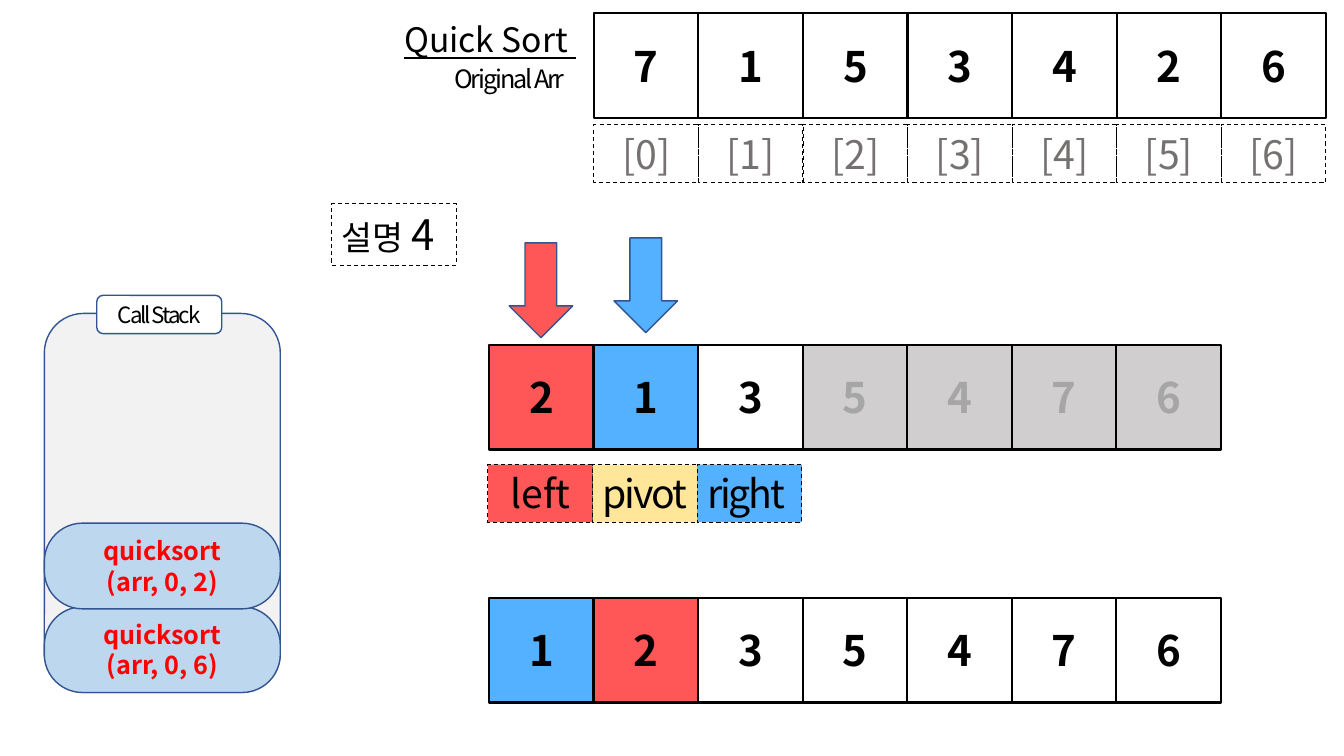
from lxml import etree
from pptx import Presentation
from pptx.dml.color import RGBColor
from pptx.enum.dml import MSO_LINE
from pptx.enum.shapes import MSO_SHAPE
from pptx.enum.text import MSO_ANCHOR, PP_ALIGN
from pptx.oxml.ns import qn
from pptx.util import Inches, Pt

RECT, ROUNDED, DOWN_ARROW = MSO_SHAPE.RECTANGLE, MSO_SHAPE.ROUNDED_RECTANGLE, MSO_SHAPE.DOWN_ARROW
DASH = MSO_LINE.DASH
LEFT, CENTER, RIGHT = PP_ALIGN.LEFT, PP_ALIGN.CENTER, PP_ALIGN.RIGHT
TOP, MIDDLE = MSO_ANCHOR.TOP, MSO_ANCHOR.MIDDLE

FONT = "Noto Sans CJK KR"
BLACK, WHITE, NAVY = "000000", "FFFFFF", "325491"
RED, BLUE, YELLOW = "FF5757", "53B1FF", "FFE699"
DONE_FILL, DONE_TEXT, INDEX_TEXT = "D0CECE", "A6A6A6", "767171"
STACK_FILL, CALL_FILL, CALL_TEXT = "F2F2F2", "BDD7EE", "FF0000"

CELL = 1.04
STEP = 1.037
LABEL_HEIGHT = 0.57


def color(hex_string):
    """Turn a hex string into a colour."""
    return RGBColor.from_string(hex_string)


def write(shape, lines, size=18, ink=BLACK, bold=False, underline=False,
          align=CENTER, anchor=MIDDLE, spacing=0, margin=0.1):
    """Write lines into a shape; a line is text or a list of (text, size)."""
    frame = shape.text_frame
    frame.word_wrap = True
    frame.vertical_anchor = anchor
    frame.margin_left = frame.margin_right = Inches(margin)
    for number, line in enumerate(lines):
        paragraph = frame.add_paragraph() if number else frame.paragraphs[0]
        paragraph.alignment = align
        for text, points in [(line, size)] if isinstance(line, str) else line:
            run = paragraph.add_run()
            run.text = text
            font = run.font
            font.size, font.bold, font.underline = Pt(points), bold, underline
            font.color.rgb = color(ink)
            font.name = FONT
            properties = run._r.get_or_add_rPr()
            etree.SubElement(properties, qn("a:ea")).set("typeface", FONT)
            if spacing:
                properties.set("spc", str(int(spacing * 100)))


def draw(shapes, kind, box, fill=None, line=BLACK, weight=1.0, dash=None):
    """Draw a preset shape in a box of left, top, width and height."""
    shape = shapes.add_shape(kind, *map(Inches, box))
    shape.shadow.inherit = False
    if fill:
        shape.fill.solid()
        shape.fill.fore_color.rgb = color(fill)
    else:
        shape.fill.background()
    shape.line.color.rgb = color(line)
    shape.line.width = Pt(weight)
    if dash:
        shape.line.dash_style = dash
    return shape


def array_row(slide, left, top, values, fills=None, done=()):
    """Draw an array as square cells; fills and done go by index."""
    cells = slide.shapes.add_group_shape().shapes
    for index, value in enumerate(values):
        fill = DONE_FILL if index in done else (fills or {}).get(index, WHITE)
        cell = draw(cells, RECT, (left + index * STEP, top, CELL, CELL), fill, weight=1.5)
        write(cell, [str(value)], size=30, bold=True,
              ink=DONE_TEXT if index in done else BLACK)


def dashed_label(shapes, box, lines, fill=None, **text_format):
    """Draw a label with a dashed border."""
    label = draw(shapes, RECT, box, fill, weight=0.75, dash=DASH)
    write(label, lines, anchor=TOP, **text_format)


def index_row(slide, left, top, count):
    """Draw the array indices in dashed cells."""
    cells = slide.shapes.add_group_shape().shapes
    for index in range(count):
        dashed_label(cells, (left + index * STEP, top, CELL, LABEL_HEIGHT),
                     [f"[{index}]"], size=28, ink=INDEX_TEXT)


def heading(slide, left, top):
    """Place the title with the array's name below it."""
    title = slide.shapes.add_textbox(*map(Inches, (left, top, 1.9, 0.5)))
    write(title, ["Quick Sort "], size=24, underline=True, align=LEFT, anchor=TOP)
    array_name = slide.shapes.add_textbox(*map(Inches, (left + 0.36, top + 0.44, 1.43, 0.4)))
    write(array_name, ["Original Arr"], align=RIGHT, anchor=TOP, spacing=-1.5)


def partition_labels(slide, left, top):
    """Name the left, pivot and right cells of the partition."""
    roles = [("left", RED, CENTER, 0, 0),
             ("pivot", YELLOW, CENTER, -1.5, 0),
             ("right", BLUE, LEFT, -1.5, 0.1)]
    for index, (role, fill, align, spacing, margin) in enumerate(roles):
        dashed_label(slide.shapes, (left + index * STEP, top, CELL, LABEL_HEIGHT), [role],
                     fill, size=28, align=align, spacing=spacing, margin=margin)


def call_stack(slide, left, top, width, height, calls):
    """Draw the call stack, with calls listed from the bottom up."""
    parts = slide.shapes.add_group_shape().shapes
    draw(parts, ROUNDED, (left, top, width, height), STACK_FILL, NAVY)
    name = draw(parts, ROUNDED, (left + 0.52, top - 0.18, 1.24, 0.38), WHITE, NAVY)
    write(name, ["Call Stack"], size=16, spacing=-1.5)
    call_height = 0.85
    for level, arguments in enumerate(calls):
        call_top = top + height - call_height - level * 0.83
        call = draw(parts, ROUNDED, (left, call_top, width, call_height), CALL_FILL, NAVY)
        call.adjustments[0] = 0.445
        write(call, ["quicksort", arguments], ink=CALL_TEXT, bold=True)


def quick_sort_slide(presentation):
    """Build the slide for one step of quicksort."""
    slide = presentation.slides.add_slide(presentation.slide_layouts[6])
    original = [7, 1, 5, 3, 4, 2, 6]
    array_row(slide, 5.89, 0.13, original)
    index_row(slide, 5.89, 1.24, len(original))
    heading(slide, 3.91, 0.14)
    dashed_label(slide.shapes, (3.29, 2.02, 1.24, 0.61), [[("설명 ", 24), ("4", 30)]], align=LEFT)
    array_row(slide, 4.85, 3.42, [2, 1, 3, 5, 4, 7, 6], {0: RED, 1: BLUE}, done=range(3, 7))
    partition_labels(slide, 4.84, 4.61)
    for arrow_left, arrow_top, fill in [(5.05, 2.41, RED), (6.09, 2.36, BLUE)]:
        draw(slide.shapes, DOWN_ARROW, (arrow_left, arrow_top, 0.63, 0.94), fill, NAVY)
    call_stack(slide, 0.44, 3.11, 2.34, 3.76, ["(arr, 0, 6)", "(arr, 0, 2)"])
    array_row(slide, 4.85, 5.93, [1, 2, 3, 5, 4, 7, 6], {0: BLUE, 1: RED})


presentation = Presentation()
presentation.slide_width, presentation.slide_height = Inches(13.33), Inches(7.5)
quick_sort_slide(presentation)
presentation.save("out.pptx")
